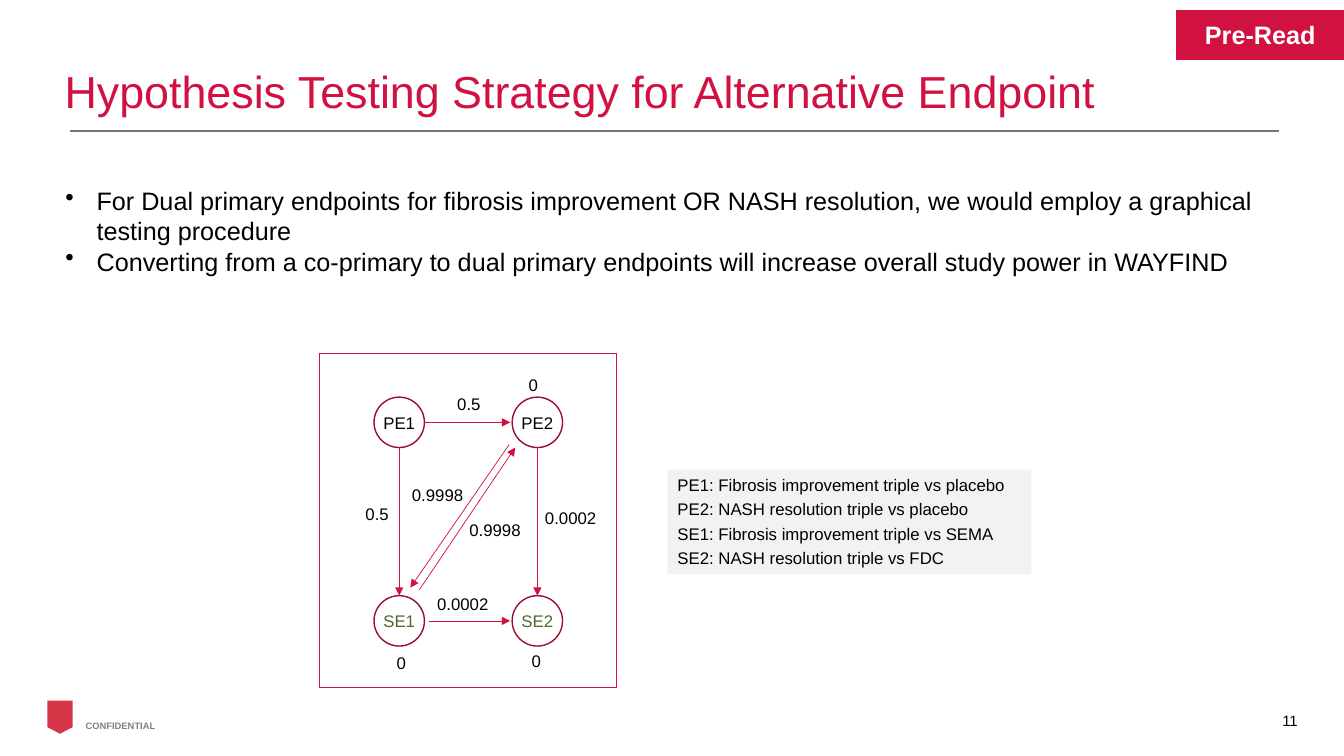
from pptx import Presentation
from pptx.dml.color import RGBColor
from pptx.enum.shapes import MSO_CONNECTOR, MSO_SHAPE
from pptx.enum.text import MSO_ANCHOR, MSO_AUTO_SIZE, PP_ALIGN
from pptx.oxml.ns import qn
from pptx.util import Inches, Pt
from lxml import etree

STRAIGHT = MSO_CONNECTOR.STRAIGHT
RECTANGLE, ELLIPSE = MSO_SHAPE.RECTANGLE, MSO_SHAPE.OVAL
SHIELD = MSO_SHAPE.FLOWCHART_OFFPAGE_CONNECTOR
TOP, MIDDLE, BOTTOM = MSO_ANCHOR.TOP, MSO_ANCHOR.MIDDLE, MSO_ANCHOR.BOTTOM
LEFT, CENTER, RIGHT = PP_ALIGN.LEFT, PP_ALIGN.CENTER, PP_ALIGN.RIGHT
NO_AUTOFIT = MSO_AUTO_SIZE.NONE

CRIMSON, WINE, LOGO_RED = "D11241", "9B0D30", "D73648"
BLACK, WHITE, GREEN = "000000", "FFFFFF", "4E692A"
GRAY, RULE_GRAY, PANEL_GRAY = "808080", "767676", "F2F2F2"


def rgb(value):
    return RGBColor.from_string(value)


class SlideBuilder:
    font = "Arial"

    def __init__(self, slide):
        self.slide = slide

    def fill_text(self, frame, lines, size, color=BLACK, bold=False, align=LEFT,
                  anchor=TOP, wrap=True, gap=0, bullet=False, spacing=None):
        frame.auto_size = NO_AUTOFIT
        frame.word_wrap = wrap
        frame.vertical_anchor = anchor
        for index, line in enumerate(lines):
            paragraph = frame.paragraphs[0] if index == 0 else frame.add_paragraph()
            if bullet:
                props = paragraph._p.get_or_add_pPr()
                props.set("marL", str(Inches(0.31)))
                props.set("indent", str(-Inches(0.31)))
                etree.SubElement(props, qn("a:buChar")).set("char", "•")
            paragraph.alignment = align
            if index:
                paragraph.space_before = Pt(gap)
            if spacing:
                paragraph.line_spacing = spacing
            run = paragraph.add_run()
            run.text = line
            run.font.name = self.font
            run.font.size = Pt(size)
            run.font.bold = bold
            run.font.color.rgb = rgb(color)

    def title(self, box, line):
        title = self.slide.shapes.title
        title.left, title.top, title.width, title.height = map(Inches, box)
        self.fill_text(title.text_frame, [line], 32, CRIMSON, anchor=BOTTOM, spacing=0.9)

    def text(self, box, lines, size, **style):
        textbox = self.slide.shapes.add_textbox(*map(Inches, box))
        self.fill_text(textbox.text_frame, lines, size, **style)

    def shape(self, kind, box, fill=None, line=None, width=0.5):
        shape = self.slide.shapes.add_shape(kind, *map(Inches, box))
        shape.shadow.inherit = False
        if fill:
            shape.fill.solid()
            shape.fill.fore_color.rgb = rgb(fill)
        else:
            shape.fill.background()
        if line:
            shape.line.color.rgb = rgb(line)
            shape.line.width = Pt(width)
        else:
            shape.line.fill.background()
        return shape.text_frame

    def node(self, center_x, center_y, label, color):
        frame = self.shape(ELLIPSE, (center_x - 0.25, center_y - 0.25, 0.5, 0.5),
                           line=WINE, width=1)
        frame.margin_left = frame.margin_right = 0
        self.fill_text(frame, [label], 12, color, align=CENTER, anchor=MIDDLE, wrap=False)

    def line(self, start, end, color, width, arrow=False):
        connector = self.slide.shapes.add_connector(
            STRAIGHT, *map(Inches, (*start, *end)))
        connector.line.color.rgb = rgb(color)
        connector.line.width = Pt(width)
        if arrow:
            tail = etree.SubElement(connector.line._get_or_add_ln(), qn("a:tailEnd"))
            tail.set("type", "triangle")
        etree.SubElement(connector._element.spPr, qn("a:effectLst"))


def main():
    presentation = Presentation()
    presentation.slide_width = Inches(13.33)
    presentation.slide_height = Inches(7.5)
    builder = SlideBuilder(presentation.slides.add_slide(presentation.slide_layouts[5]))

    builder.title((0.54, 0.36, 12.29, 0.86),
                  "Hypothesis Testing Strategy for Alternative Endpoint")
    builder.line((0.69, 1.3), (12.69, 1.3), RULE_GRAY, 1)
    builder.shape(SHIELD, (0.47, 6.95, 0.25, 0.33), fill=LOGO_RED)
    builder.text((0.75, 7.09, 0.91, 0.21), ["CONFIDENTIAL"], 6.7,
                 color=GRAY, bold=True, wrap=False)
    builder.text((12.45, 6.95, 0.52, 0.4), ["11"], 10.7, align=RIGHT, anchor=MIDDLE)

    builder.text((0.55, 1.79, 12.16, 1.3), [
        "For Dual primary endpoints for fibrosis improvement OR NASH resolution, "
        "we would employ a graphical testing procedure",
        "Converting from a co-primary to dual primary endpoints will increase "
        "overall study power in WAYFIND",
    ], 18, bullet=True)

    legend = builder.shape(RECTANGLE, (6.62, 4.66, 3.61, 1.04), fill=PANEL_GRAY)
    builder.fill_text(legend, [
        "PE1: Fibrosis improvement triple vs placebo",
        "PE2: NASH resolution triple vs placebo",
        "SE1: Fibrosis improvement triple vs SEMA",
        "SE2: NASH resolution triple vs FDC",
    ], 12, gap=3)

    builder.shape(RECTANGLE, (3.17, 3.51, 2.94, 3.31), line=CRIMSON)
    left_x, right_x, primary_y, secondary_y = 3.96, 5.33, 4.19, 6.16
    for endpoint in [
        (left_x, primary_y, "PE1", BLACK),
        (right_x, primary_y, "PE2", BLACK),
        (left_x, secondary_y, "SE1", GREEN),
        (right_x, secondary_y, "SE2", GREEN),
    ]:
        builder.node(*endpoint)

    for start, end in [
        ((left_x, 4.44), (left_x, 5.91)),
        ((right_x, 4.44), (right_x, 5.91)),
        ((4.21, primary_y), (5.06, primary_y)),
        ((4.25, secondary_y), (5.06, secondary_y)),
        ((4.16, 5.85), (5.11, 4.44)),
        ((5.05, 4.41), (4.07, 5.83)),
    ]:
        builder.line(start, end, CRIMSON, 0.5, arrow=True)

    for center_x, center_y, weight in [
        (5.29, 3.82, "0"),
        (3.98, 6.58, "0"),
        (5.32, 6.56, "0"),
        (4.65, 4.01, "0.5"),
        (3.74, 5.1, "0.5"),
        (4.34, 4.91, "0.9998"),
        (4.91, 5.26, "0.9998"),
        (5.66, 5.14, "0.0002"),
        (4.59, 5.99, "0.0002"),
    ]:
        builder.text((center_x - 0.41, center_y - 0.15, 0.82, 0.3), [weight], 12,
                     align=CENTER)

    tag = builder.shape(RECTANGLE, (11.67, 0.1, 1.66, 0.49), fill=CRIMSON, line=CRIMSON)
    builder.fill_text(tag, ["Pre-Read"], 18, WHITE, bold=True, align=CENTER, anchor=MIDDLE)

    presentation.save("out.pptx")


if __name__ == "__main__":
    main()
